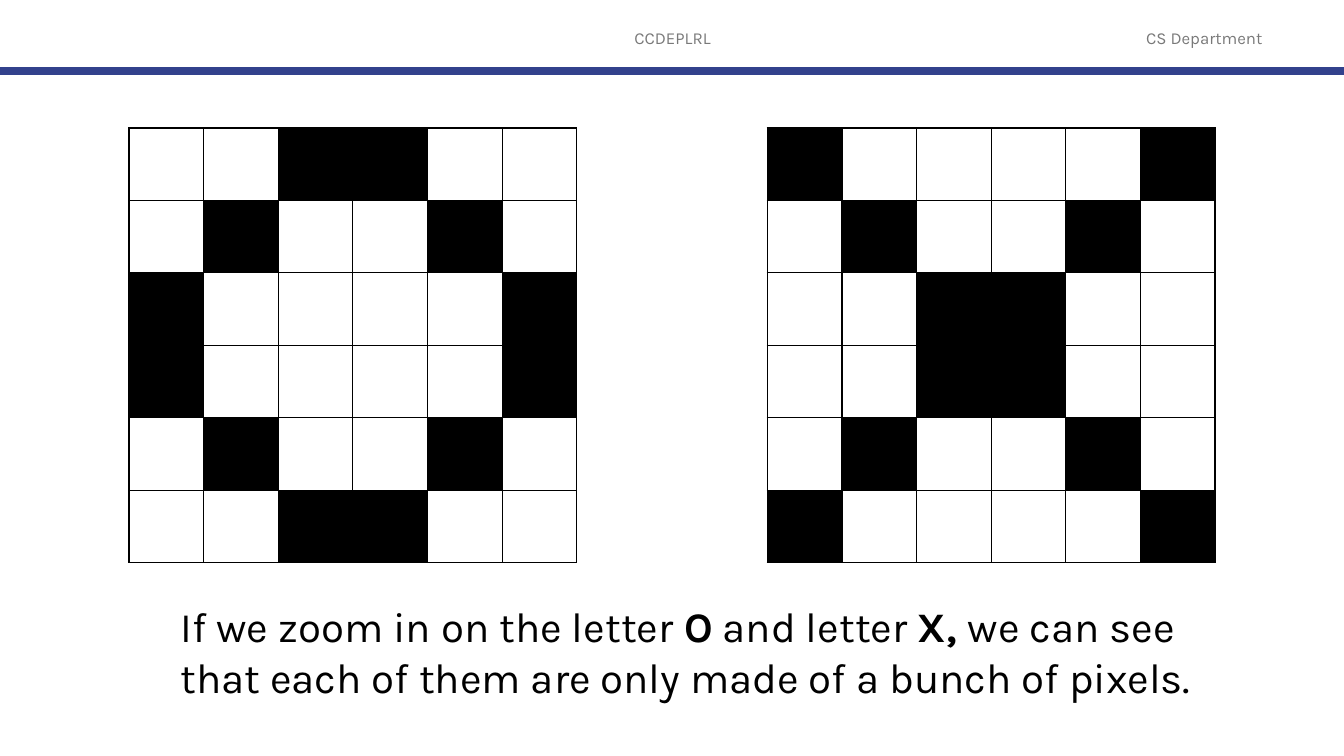
from lxml import etree
from pptx import Presentation
from pptx.dml.color import RGBColor
from pptx.enum.shapes import MSO_CONNECTOR
from pptx.enum.text import MSO_ANCHOR, MSO_AUTO_SIZE, PP_ALIGN
from pptx.oxml.ns import qn
from pptx.util import Inches, Pt

STRAIGHT = MSO_CONNECTOR.STRAIGHT
MIDDLE, TOP = MSO_ANCHOR.MIDDLE, MSO_ANCHOR.TOP
CENTER, LEFT = PP_ALIGN.CENTER, PP_ALIGN.LEFT
FIT_SHAPE = MSO_AUTO_SIZE.SHAPE_TO_FIT_TEXT

BLACK, WHITE, GRAY, NAVY = "000000", "FFFFFF", "797979", "32418C"

LETTER_O = ["..##..", ".#..#.", "#....#", "#....#", ".#..#.", "..##.."]
LETTER_X = ["#....#", ".#..#.", "..##..", "..##..", ".#..#.", "#....#"]


def color(hex_code):
    return RGBColor.from_string(hex_code)


class PixelSlide:
    """Draws on one slide, with lengths in percent of its width and height."""

    font = "Karla"

    def __init__(self, deck):
        self.slide = deck.slides.add_slide(deck.slide_layouts[6])
        self.column = deck.slide_width / 100
        self.row = deck.slide_height / 100

    def place(self, left, top, width, height):
        return (round(left * self.column), round(top * self.row),
                round(width * self.column), round(height * self.row))

    def text(self, area, runs, size, ink, align=LEFT, anchor=TOP, grow=False):
        frame = self.slide.shapes.add_textbox(*self.place(*area)).text_frame
        frame.word_wrap = True
        frame.vertical_anchor = anchor
        if grow:
            frame.auto_size = FIT_SHAPE
        paragraph = frame.paragraphs[0]
        paragraph.alignment = align
        for wording, bold in runs:
            run = paragraph.add_run()
            run.text = wording
            run.font.name = self.font
            run.font.size = Pt(size)
            run.font.bold = bold
            run.font.color.rgb = color(ink)

    def rule(self, top, ink, weight):
        ends = self.place(0, top, 100, top)
        divider = self.slide.shapes.add_connector(STRAIGHT, *ends)
        divider.line.color.rgb = color(ink)
        divider.line.width = Pt(weight)
        etree.SubElement(divider._element.spPr, qn("a:effectLst"))

    def border(self, cell, ink, weight):
        properties = cell._tc.get_or_add_tcPr()
        for side in ("a:lnL", "a:lnR", "a:lnT", "a:lnB"):
            edge = etree.SubElement(properties, qn(side), w=str(Pt(weight)))
            fill = etree.SubElement(edge, qn("a:solidFill"))
            etree.SubElement(fill, qn("a:srgbClr"), val=ink)

    def pixels(self, area, pattern):
        count = len(pattern)
        grid = self.slide.shapes.add_table(count, count, *self.place(*area)).table
        grid.first_row = False
        grid.horz_banding = False
        for y, pixel_row in enumerate(pattern):
            for x, pixel in enumerate(pixel_row):
                cell = grid.cell(y, x)
                self.border(cell, BLACK, 1)
                cell.fill.solid()
                cell.fill.fore_color.rgb = color(BLACK if pixel == "#" else WHITE)


def main():
    deck = Presentation()
    deck.slide_width, deck.slide_height = Inches(13.33), Inches(7.5)
    page = PixelSlide(deck)

    for left, width, label in ((33.16, 33.76, "CCDEPLRL"),
                               (81.92, 15.38, "CS Department")):
        page.text((left, 2.27, width, 5.33), [(label, False)], 12, GRAY, CENTER, MIDDLE)
    page.rule(9.4, NAVY, 6)

    explanation = [
        ("If we zoom in on the letter ", False),
        ("O", True),
        (" and letter ", False),
        ("X, ", True),
        ("we can see that each of them are only made of a bunch of pixels.", False),
    ]
    page.text((12.68, 78.8, 77.72, 14.8), explanation, 30, BLACK, grow=True)

    for left, letter in ((9.6, LETTER_O), (57.09, LETTER_X)):
        page.pixels((left, 16.93, 33.33, 57.5), letter)

    deck.save("out.pptx")


if __name__ == "__main__":
    main()
